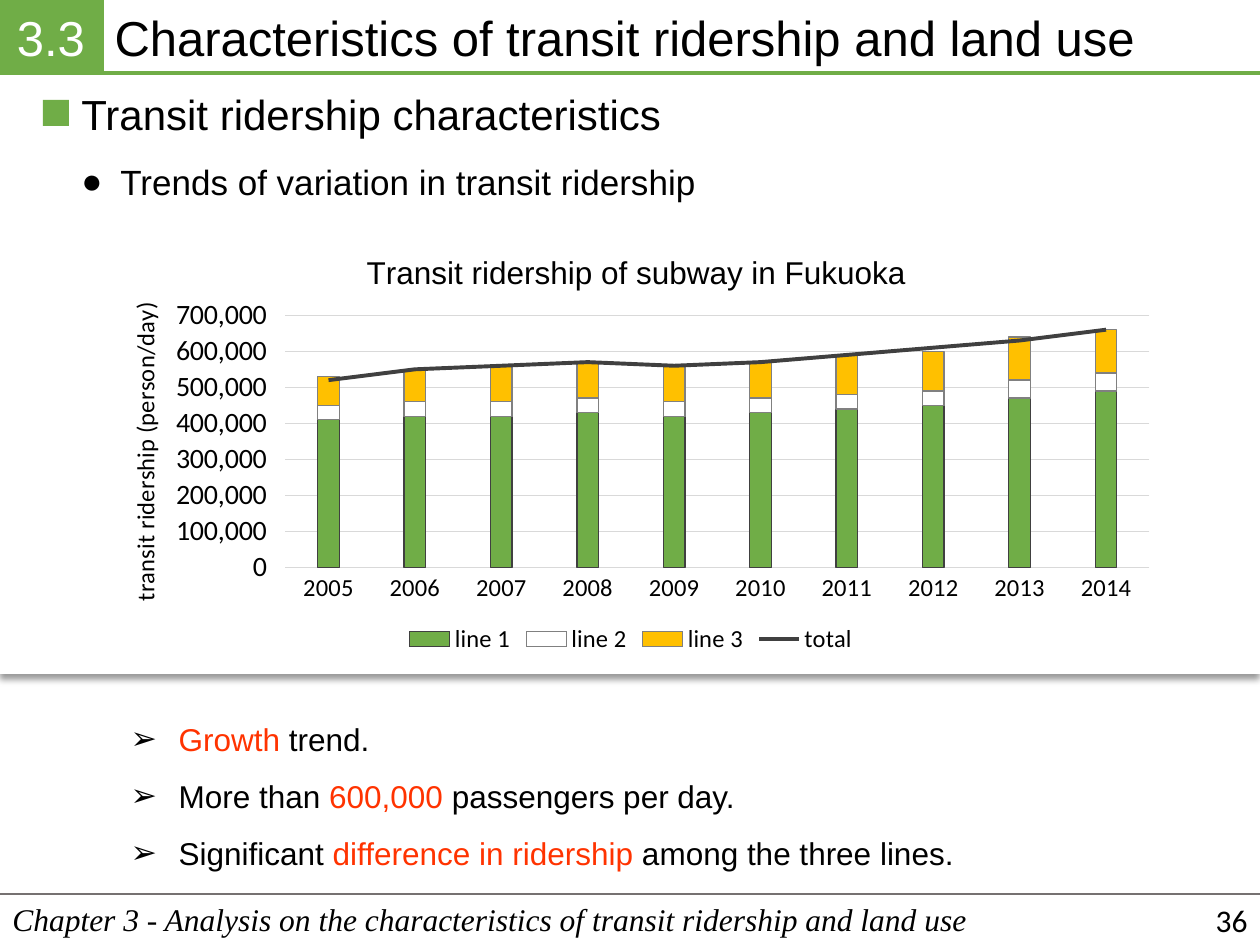
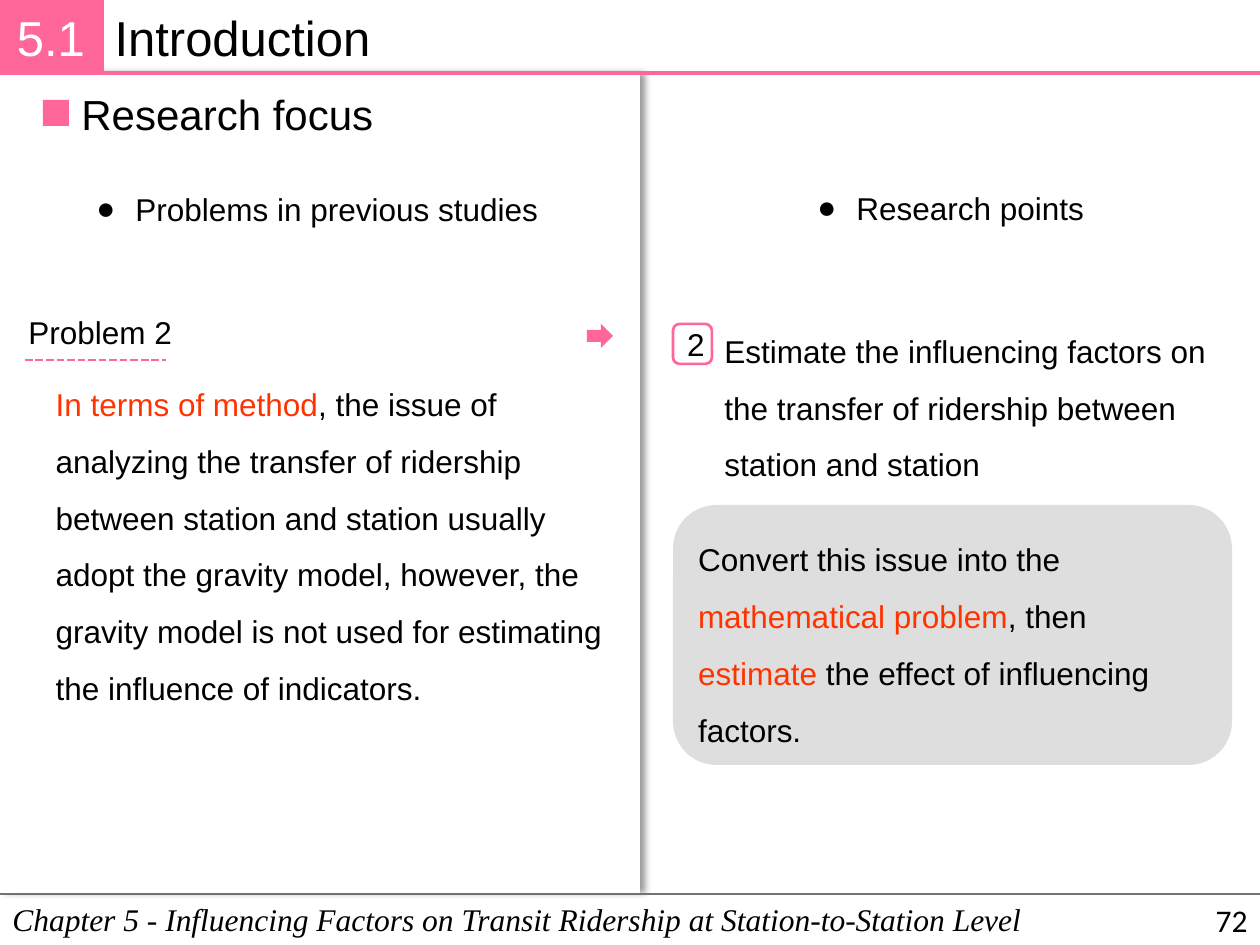
from dataclasses import dataclass
from typing import NamedTuple

from lxml import etree
from pptx import Presentation, oxml
from pptx import util as u
from pptx.chart import data
from pptx.dml import color
from pptx.enum import chart as kinds
from pptx.enum import dml, shapes, text
from pptx.oxml import ns

SCALE = 914400 / 126
WIDE, TALL = 1260, 945
TOP, FOOT = 73, 894
BLACK, WHITE, RED = "000000", "FFFFFF", "FF3300"
GREEN, PINK, GOLD = "70AD47", "FF6699", "FFC000"
DARK, GREY, PALE, RULE = "404040", "808080", "D9D9D9", "767171"
FORM = shapes.MSO_SHAPE
ALIGN = text.PP_ALIGN
ANCHOR = text.MSO_ANCHOR


class Box(NamedTuple):
    x: int
    y: int
    w: int
    h: int


@dataclass
class Page:
    tag: str
    title: str
    head: str
    foot: str
    num: str
    hue: str


class Bar(NamedTuple):
    name: str
    fill: str
    edge: str
    vals: tuple


PAGES = [
    Page("3.3", "Characteristics of transit ridership and land use",
         "Transit ridership characteristics",
         "Chapter 3 - Analysis on the characteristics of transit ridership and land use",
         "36", GREEN),
    Page("5.1", "Introduction", "Research focus",
         "Chapter 5 - Influencing Factors on Transit Ridership at Station-to-Station Level",
         "72", PINK),
]

BARS = [
    Bar("line 1", GREEN, DARK, (410, 420, 420, 430, 420, 430, 440, 450, 470, 490)),
    Bar("line 2", WHITE, GREY, (40, 40, 40, 40, 40, 40, 40, 40, 50, 50)),
    Bar("line 3", GOLD, GREY, (80, 90, 100, 100, 100, 100, 110, 110, 120, 120)),
    Bar("total", DARK, DARK, (520, 550, 560, 570, 560, 570, 590, 610, 630, 660)),
]


def px(n: float) -> int:
    return round(n * SCALE)


def rgb(code: str) -> color.RGBColor:
    return color.RGBColor.from_string(code)


def add(node, tag: str, **attrs):
    return etree.SubElement(node, ns.qn(tag), attrs)


def style(font, size: float, hue: str = BLACK, face: str = "Arial") -> None:
    font.size, font.name, font.bold = u.Pt(size), face, False
    font.color.rgb = rgb(hue)


def write(frame, words: str, size: float = 18, hue: str = BLACK, face: str = "Arial",
          align=ALIGN.LEFT, anchor=ANCHOR.TOP, space: float = 1.0,
          mark: str = "", hang: int = 0, slant: bool = False) -> None:
    frame.word_wrap = True
    frame.auto_size = text.MSO_AUTO_SIZE.NONE
    frame.vertical_anchor = anchor
    for i, line in enumerate(words.split("\n")):
        para = frame.add_paragraph() if i else frame.paragraphs[0]
        props = para._p.get_or_add_pPr()
        props.set("marL", str(px(hang)))
        props.set("indent", str(-px(hang)))
        if mark:
            add(add(props, "a:buClr"), "a:srgbClr", val=hue)
            add(props, "a:buFont", typeface="Arial")
            add(props, "a:buChar", char=mark)
        else:
            add(props, "a:buNone")
        para.alignment = align
        para.line_spacing = space
        para.space_before = para.space_after = u.Pt(0)
        for j, part in enumerate(line.split("|")):
            if part:
                run = para.add_run()
                run.text = part
                style(run.font, size, RED if j % 2 else hue, face)
                run.font.italic = slant


def place(item, box: Box) -> None:
    item.left, item.top, item.width, item.height = map(px, box)


def label(slide, box: Box, words: str, **form) -> None:
    write(slide.shapes.add_textbox(*map(px, box)).text_frame, words, **form)


def shape(slide, form, box: Box, fill: str = "", edge: str = "", weight: float = 1.5):
    item = slide.shapes.add_shape(form, *map(px, box))
    item.shadow.inherit = False
    if fill:
        item.fill.solid()
        item.fill.fore_color.rgb = rgb(fill)
    else:
        item.fill.background()
    if edge:
        item.line.color.rgb = rgb(edge)
        item.line.width = u.Pt(weight)
    else:
        item.line.fill.background()
    return item


def rule(slide, x: int, y: int, end: int, hue: str, weight: float):
    item = slide.shapes.add_connector(
        shapes.MSO_CONNECTOR.STRAIGHT, px(x), px(y), px(end), px(y))
    item.line.color.rgb = rgb(hue)
    item.line.width = u.Pt(weight)
    add(item._element.spPr, "a:effectLst")
    return item


def panel(slide, box: Box, angle: int) -> None:
    item = shape(slide, FORM.RECTANGLE, box, WHITE)
    glow = add(item._element.spPr.find(ns.qn("a:effectLst")), "a:outerShdw",
               blurRad=str(u.Pt(4)), dist=str(u.Pt(3)), dir=str(angle * 60000),
               rotWithShape="0")
    add(add(glow, "a:srgbClr", val=BLACK), "a:alpha", val="40000")
    slide.shapes._spTree.insert(2, item._element)


def start(deck, page: Page):
    slide = deck.slides.add_slide(deck.slide_layouts[1])
    place(slide.shapes.title, Box(102, 1, WIDE - 102, 72))
    write(slide.shapes.title.text_frame, page.title, size=28)
    tag = shape(slide, FORM.RECTANGLE, Box(0, 0, 102, TOP), page.hue, page.hue, 2.25)
    frame = tag.text_frame
    frame.margin_left = frame.margin_right = px(8)
    write(frame, page.tag, size=28, hue=WHITE, align=ALIGN.CENTER, anchor=ANCHOR.MIDDLE)
    rule(slide, 102, TOP, WIDE, page.hue, 2.25)
    shape(slide, FORM.RECTANGLE, Box(43, 100, 26, 26), page.hue)
    label(slide, Box(69, 82, 640, 63), page.head, size=24)
    rule(slide, 0, FOOT, WIDE, RULE, 1)
    label(slide, Box(0, FOOT, WIDE, 51), page.foot, face="Times New Roman", slant=True)
    label(slide, Box(976, FOOT, 284, 51), page.num, face="Calibri",
          align=ALIGN.RIGHT, anchor=ANCHOR.MIDDLE)
    return slide


def pin(node, spot: int, **sides: float) -> None:
    old = node.find(ns.qn("c:layout"))
    if old is not None:
        node.remove(old)
    frame = etree.Element(ns.qn("c:layout"))
    man = add(frame, "c:manualLayout")
    if "w" in sides:
        add(man, "c:layoutTarget", val="inner")
    for side in "xy":
        add(man, f"c:{side}Mode", val="edge")
    for side, val in sides.items():
        add(man, f"c:{side}", val=str(val))
    node.insert(spot, frame)


def name(title, words: str, size: float, face: str, x: float, y: float) -> None:
    title.text_frame.text = words
    style(title.text_frame.paragraphs[0].runs[0].font, size, BLACK, face)
    pin(title._element, 1, x=x, y=y)


def split(graph) -> None:
    bars = graph.plots[0]._element
    last = bars.findall(ns.qn("c:ser"))[-1]
    flag = last.find(ns.qn("c:invertIfNegative"))
    if flag is not None:
        last.remove(flag)
    axes = "".join(f'<c:axId val="{a.get("val")}"/>' for a in bars.findall(ns.qn("c:axId")))
    line = oxml.parse_xml(
        f'<c:lineChart {ns.nsdecls("c")}><c:grouping val="standard"/>'
        f'<c:varyColors val="0"/><c:marker val="1"/>{axes}</c:lineChart>')
    line.insert(2, last)
    bars.addnext(line)


def plot(slide, box: Box) -> None:
    feed = data.CategoryChartData(number_format="#,##0")
    feed.categories = [str(year) for year in range(2005, 2015)]
    for bar in BARS:
        feed.add_series(bar.name, [val * 1000 for val in bar.vals])
    graph = slide.shapes.add_chart(
        kinds.XL_CHART_TYPE.COLUMN_STACKED, *map(px, box), feed).chart
    style(graph.font, 10, BLACK, "Calibri")
    split(graph)
    cols, line = graph.plots
    cols.gap_width, cols.overlap = 300, 100
    cols.vary_by_categories = False
    for bar, item in zip(BARS, cols.series):
        item.format.fill.solid()
        item.format.fill.fore_color.rgb = rgb(bar.fill)
        item.format.line.color.rgb = rgb(bar.edge)
        item.format.line.width = u.Pt(0.75)
    total = line.series[0]
    total.smooth = False
    total.marker.style = kinds.XL_MARKER_STYLE.NONE
    total.format.line.color.rgb = rgb(DARK)
    total.format.line.width = u.Pt(2.25)

    graph.has_title = True
    name(graph.chart_title, "Transit ridership of subway in Fukuoka", 18, "Arial", 0.25, 0.05)
    cat, val = graph.category_axis, graph.value_axis
    style(cat.tick_labels.font, 14, BLACK, "Calibri")
    style(val.tick_labels.font, 16, BLACK, "Calibri")
    cat.major_tick_mark = kinds.XL_TICK_MARK.NONE
    val.major_tick_mark = kinds.XL_TICK_MARK.OUTSIDE
    val.minimum_scale, val.maximum_scale, val.major_unit = 0, 700000, 100000
    val.tick_labels.number_format = r"#,##0_);[Red]\(#,##0\)"
    val.tick_labels.number_format_is_linked = False
    val.format.line.fill.background()
    for edge in (cat.format.line, val.major_gridlines.format.line):
        edge.color.rgb = rgb(PALE)
        edge.width = u.Pt(0.75)
    name(val.axis_title, "transit ridership (person/day)", 14, "Calibri", 0.03, 0.17)
    val.axis_title.text_frame._txBody.bodyPr.set("rot", "-5400000")
    graph.has_legend = True
    graph.legend.position = kinds.XL_LEGEND_POSITION.BOTTOM
    graph.legend.include_in_layout = False
    style(graph.legend.font, 14, BLACK, "Calibri")
    pin(graph._chartSpace.chart.plotArea, 0, x=0.18, y=0.21, w=0.8, h=0.58)


def trends(deck, page: Page) -> None:
    slide = start(deck, page)
    panel(slide, Box(0, 74, WIDE, 600), 90)
    label(slide, Box(69, 154, 700, 55), "Trends of variation in transit ridership",
          size=20, mark="●", hang=39)
    plot(slide, Box(91, 224, 1080, 435))
    body = slide.placeholders[1]
    place(body, Box(118, 695, 1024, 178))
    write(body.text_frame,
          "|Growth| trend.\nMore than |600,000| passengers per day.\n"
          "Significant |difference in ridership| among the three lines.",
          space=1.5, mark="➢", hang=48)


def focus(deck, page: Page) -> None:
    slide = start(deck, page)
    panel(slide, Box(0, 74, 640, 820), 0)
    for box, words in ((Box(84, 184, 500, 51), "Problems in previous studies"),
                       (Box(805, 183, 320, 51), "Research points")):
        label(slide, box, words, mark="●", hang=39)
    label(slide, Box(16, 307, 190, 51), "Problem 2")
    under = rule(slide, 25, 360, 166, page.hue, 1.5)
    under.line.dash_style = dml.MSO_LINE.SQUARE_DOT
    body = slide.placeholders[1]
    place(body, Box(43, 360, 587, 349))
    write(body.text_frame,
          "|In terms of method|, the issue of analyzing the transfer of ridership between "
          "station and station usually adopt the gravity model, however, the gravity model "
          "is not used for estimating the influence of indicators.", space=1.5)
    shape(slide, FORM.RIGHT_ARROW, Box(587, 324, 26, 24), page.hue)
    badge = shape(slide, FORM.ROUNDED_RECTANGLE, Box(673, 324, 39, 40), edge=page.hue)
    write(badge.text_frame, "2", align=ALIGN.CENTER, anchor=ANCHOR.MIDDLE)
    label(slide, Box(712, 307, 520, 178),
          "Estimate the influencing factors on the transfer of ridership between "
          "station and station", space=1.5)
    card = shape(slide, FORM.ROUNDED_RECTANGLE, Box(673, 505, 559, 260), "7F7F7F")
    add(card._element.spPr.find(".//" + ns.qn("a:srgbClr")), "a:alpha", val="25000")
    write(card.text_frame,
          "Convert this issue into the |mathematical problem|, then |estimate |"
          "the effect of influencing factors.", anchor=ANCHOR.MIDDLE, space=1.5)


def main() -> None:
    deck = Presentation()
    deck.slide_width, deck.slide_height = px(WIDE), px(TALL)
    for draw, page in zip((trends, focus), PAGES):
        draw(deck, page)
    deck.save("out.pptx")


if __name__ == "__main__":
    main()
